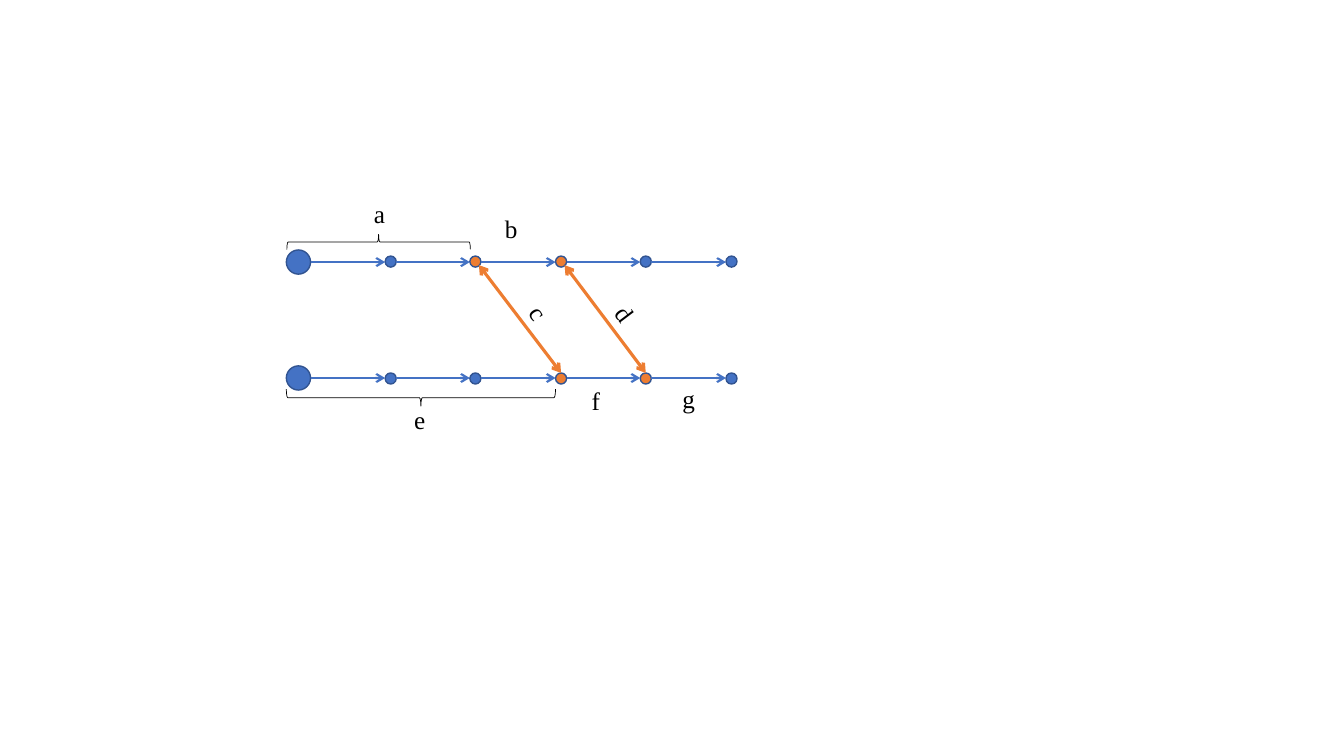
"""Build a slide with two linked chains of nodes and their labelled segments."""

from dataclasses import dataclass
from itertools import pairwise

from pptx import Presentation
from pptx.dml.color import RGBColor
from pptx.enum.shapes import MSO_CONNECTOR, MSO_SHAPE
from pptx.enum.text import MSO_AUTO_SIZE
from pptx.oxml.ns import qn
from pptx.oxml.xmlchemy import OxmlElement
from pptx.shapes.autoshape import Shape
from pptx.shapes.connector import Connector
from pptx.slide import Slide
from pptx.util import Emu, Pt

STRAIGHT = MSO_CONNECTOR.STRAIGHT
OVAL = MSO_SHAPE.OVAL
LEFT_BRACE = MSO_SHAPE.LEFT_BRACE
FIT_SHAPE = MSO_AUTO_SIZE.SHAPE_TO_FIT_TEXT

BLUE = RGBColor(0x44, 0x72, 0xC4)
DARK_BLUE = RGBColor(0x32, 0x54, 0x91)
ORANGE = RGBColor(0xED, 0x7D, 0x31)
BLACK = RGBColor(0x00, 0x00, 0x00)

EMU_PER_PX = 9144
SLIDE_WIDTH, SLIDE_HEIGHT = 1333, 750
ROOT_LEFT, ROOT_SIZE = 284, 24
NODE_LEFT, NODE_SIZE, NODE_COUNT = 382, 11, 5
TWO_NODE_STEPS = 169
LABEL_WIDTH, LABEL_HEIGHT = 32, 40
TOP_SITE = 0
LABEL_FORMAT = {"name": "Times New Roman", "size": Pt(18)}


@dataclass(frozen=True)
class Chain:
    """A root and its nodes, with the indexes of the linked nodes."""

    axis: int
    root_top: int
    node_top: int
    linked: tuple[int, ...]


@dataclass(frozen=True)
class Brace:
    """A rotated brace spanning part of a chain."""

    left: int
    top: int
    width: int
    height: int
    rotation: int


@dataclass(frozen=True)
class Label:
    """A letter, its place and its rotation."""

    text: str
    left: int
    top: int
    rotation: int = 0


UPPER = Chain(260, 248, 254, (1, 2))
LOWER = Chain(375, 363, 370, (2, 3))
BRACES = (Brace(368, 149, 15, 182, 90), Brace(409, 261, 17, 267, 270))
LABELS = (
    Label("a", 361, 192),
    Label("b", 491, 207),
    Label("c", 519, 291, 57),
    Label("d", 604, 291, 53),
    Label("e", 401, 396),
    Label("f", 577, 377),
    Label("g", 667, 375),
)


def px(length: int) -> Emu:
    """Turn a length in px into EMU."""
    return Emu(length * EMU_PER_PX)


def node_left(index: int) -> int:
    """Give the left edge of a small node."""
    return NODE_LEFT + index * TWO_NODE_STEPS // 2


def add_circle(page: Slide, left: int, top: int, size: int, color: RGBColor) -> Shape:
    """Draw an outlined circle."""
    circle = page.shapes.add_shape(OVAL, px(left), px(top), px(size), px(size))
    circle.shadow.inherit = False
    circle.fill.solid()
    circle.fill.fore_color.rgb = color
    circle.line.color.rgb = DARK_BLUE
    circle.line.width = Pt(1)
    return circle


def add_arrow(
    page: Slide,
    start: tuple[int, int],
    end: tuple[int, int],
    color: RGBColor,
    weight: float,
    ends: tuple[str, ...],
) -> Connector:
    """Draw a straight line with open arrowheads at the named ends."""
    arrow = page.shapes.add_connector(STRAIGHT, *map(px, start + end))
    arrow.line.color.rgb = color
    arrow.line.width = Pt(weight)
    properties = arrow.element.spPr
    outline = properties.find(qn("a:ln"))
    for name in ends:
        arrowhead = OxmlElement(name)
        arrowhead.set("type", "arrow")
        outline.append(arrowhead)
    properties.append(OxmlElement("a:effectLst"))
    return arrow


def add_chain(page: Slide, chain: Chain) -> list[Shape]:
    """Draw a chain and return its small nodes."""
    add_circle(page, ROOT_LEFT, chain.root_top, ROOT_SIZE, BLUE)
    nodes = []
    spans = [(ROOT_LEFT, ROOT_LEFT + ROOT_SIZE)]
    for index in range(NODE_COUNT):
        left = node_left(index)
        color = ORANGE if index in chain.linked else BLUE
        nodes.append(add_circle(page, left, chain.node_top, NODE_SIZE, color))
        spans.append((left, left + NODE_SIZE))
    for (_, start), (end, _) in pairwise(spans):
        add_arrow(page, (start, chain.axis), (end, chain.axis), BLUE, 1.5, ("a:tailEnd",))
    return nodes


def add_links(page: Slide, lower_nodes: list[Shape]) -> None:
    """Join the linked nodes of both chains with double arrows."""
    for upper, lower in zip(UPPER.linked, LOWER.linked):
        start = (node_left(upper) + NODE_SIZE - 2, UPPER.node_top + NODE_SIZE - 2)
        end = (node_left(lower) + NODE_SIZE // 2, LOWER.node_top)
        link = add_arrow(page, start, end, ORANGE, 2.25, ("a:headEnd", "a:tailEnd"))
        link.end_connect(lower_nodes[lower], TOP_SITE)


def add_brace(page: Slide, brace: Brace) -> None:
    """Draw a thin black brace."""
    bounds = map(px, (brace.left, brace.top, brace.width, brace.height))
    shape = page.shapes.add_shape(LEFT_BRACE, *bounds)
    shape.shadow.inherit = False
    shape.rotation = brace.rotation
    shape.fill.background()
    shape.line.color.rgb = BLACK
    shape.line.width = Pt(0.5)


def add_label(page: Slide, label: Label) -> None:
    """Write one letter."""
    bounds = map(px, (label.left, label.top, LABEL_WIDTH, LABEL_HEIGHT))
    box = page.shapes.add_textbox(*bounds)
    box.rotation = label.rotation
    box.text_frame.word_wrap = True
    box.text_frame.auto_size = FIT_SHAPE
    span = box.text_frame.paragraphs[0].add_run()
    span.text = label.text
    for name, value in LABEL_FORMAT.items():
        setattr(span.font, name, value)
    span.font.color.rgb = BLACK


def main() -> None:
    """Build and save the deck."""
    deck = Presentation()
    deck.slide_width, deck.slide_height = px(SLIDE_WIDTH), px(SLIDE_HEIGHT)
    page = deck.slides.add_slide(deck.slide_layouts[6])
    add_chain(page, UPPER)
    add_links(page, add_chain(page, LOWER))
    for brace in BRACES:
        add_brace(page, brace)
    for label in LABELS:
        add_label(page, label)
    deck.save("out.pptx")


if __name__ == "__main__":
    main()
